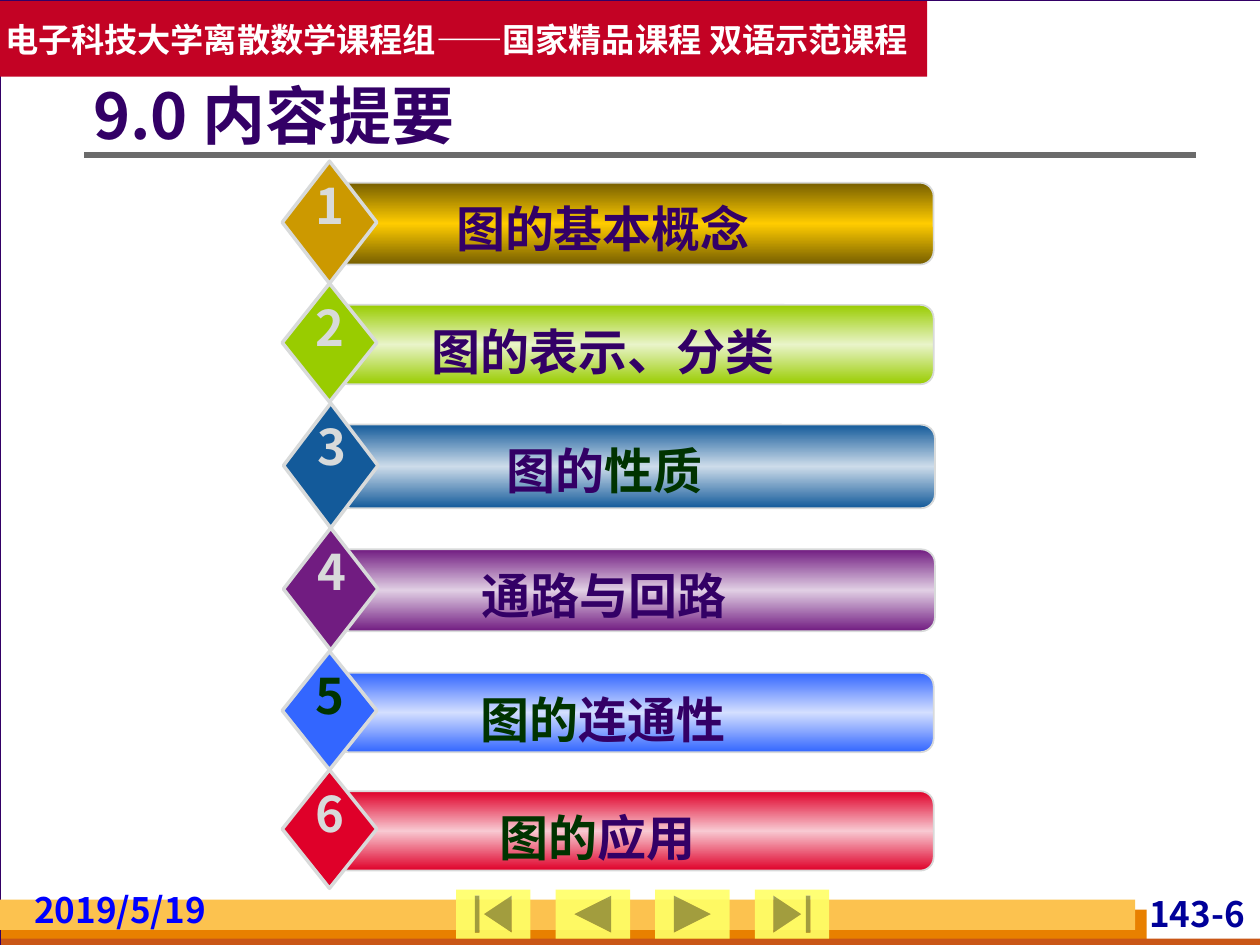
from copy import deepcopy

from lxml.etree import SubElement
from pptx import Presentation
from pptx.dml.color import RGBColor
from pptx.enum.shapes import MSO_CONNECTOR, MSO_SHAPE
from pptx.enum.text import MSO_ANCHOR, MSO_AUTO_SIZE, PP_ALIGN
from pptx.oxml.ns import qn
from pptx.util import Inches, Pt

FONT = "Noto Sans CJK SC"
HEX = {
    "white": "FFFFFF", "ink": "330066", "green": "003300", "pale": "D8DADA",
    "red": "C30224", "gray": "6B6B6B", "navy": "000099", "blue": "0000FF",
    "orange": "E88000", "rust": "C95616", "sand": "FCC24F", "yellow": "FFFF66",
}

# Diamond left, top, height; diamond, bar edge and bar middle colours;
# number colour; label runs
ROWS = [
    (2.24, 1.28, 0.97, "CC9900", "765E00", "FFCC00", "pale",
     [("图的基本概念", "ink")]),
    (2.24, 2.25, 0.94, "99CC00", "99CC00", "E9F4C9", "pale",
     [("图的表示、分类", "ink")]),
    (2.25, 3.20, 0.99, "135A9A", "135A9A", "CDDCEA", "pale",
     [("图的", "ink"), ("性质", "green")]),
    (2.25, 4.19, 0.97, "711C81", "711C81", "E1CFE4", "pale",
     [("通路与回路", "ink")]),
    (2.24, 5.17, 0.94, "3366FF", "3366FF", "D4DFFF", "green",
     [("图的", "green"), ("连通性", "ink")]),
    (2.24, 6.11, 0.94, "DF0029", "DF0029", "F8C9D2", "pale",
     [("图的", "green"), ("应用 ", "ink")]),
]

# Text frame formats
GROW = {"auto_size": MSO_AUTO_SIZE.SHAPE_TO_FIT_TEXT, "word_wrap": True}
FOOT = {**GROW, "margin_left": Inches(0.04), "margin_right": Inches(0.04),
        "margin_top": 0, "margin_bottom": 0}
HEAD = {"word_wrap": False, "vertical_anchor": MSO_ANCHOR.MIDDLE,
        "margin_left": Inches(0.04), "margin_right": Inches(0.04)}
TITLE = {"word_wrap": True, "vertical_anchor": MSO_ANCHOR.MIDDLE,
         "margin_left": 0}


def rgb(name):
    return RGBColor.from_string(HEX.get(name, name))


def apply(item, form):
    for key, value in form.items():
        setattr(item, key, value)


def write(shape, runs, size, form, align=PP_ALIGN.LEFT):
    """Fill a shape with one paragraph of coloured bold runs."""
    frame = shape.text_frame
    apply(frame, form)
    para = frame.paragraphs[0]
    para.alignment = align
    for text, color in runs:
        run = para.add_run()
        run.text = text
        apply(run.font, {"name": FONT, "size": Pt(size), "bold": True})
        run.font.color.rgb = rgb(color)
        SubElement(run.font._element, qn("a:ea"), typeface=FONT)
    return para


def add_text(shapes, box, *args):
    return write(shapes.add_textbox(*map(Inches, box)), *args)


def add_shape(shapes, kind, box, fill, line=None, width=1):
    shape = shapes.add_shape(kind, *map(Inches, box))
    shape.shadow.inherit = False
    shape.fill.solid()
    shape.fill.fore_color.rgb = rgb(fill)
    if line:
        shape.line.color.rgb = rgb(line)
        shape.line.width = Pt(width)
    else:
        shape.line.fill.background()
    return shape


def shade(shape, edge, mid):
    """Vertical gradient from edge to mid and back."""
    fill = shape.fill
    fill.gradient()
    fill.gradient_angle = 90
    stops = shape._element.spPr.find(".//" + qn("a:gsLst"))
    stops.append(deepcopy(stops[0]))
    for stop, color, place in zip(fill.gradient_stops, (edge, mid, edge),
                                  (0, 0.5, 1)):
        stop.color.rgb = rgb(color)
        stop.position = place


def add_rule(shapes):
    rule = shapes.add_connector(MSO_CONNECTOR.STRAIGHT, Inches(0.67),
                                Inches(1.23), Inches(9.49), Inches(1.23))
    rule.line.color.rgb = rgb("gray")
    rule.line.width = Pt(3)
    SubElement(rule._element.spPr, qn("a:effectLst"))


def add_nav(shapes):
    kinds = (MSO_SHAPE.ACTION_BUTTON_BEGINNING,
             MSO_SHAPE.ACTION_BUTTON_BACK_OR_PREVIOUS,
             MSO_SHAPE.ACTION_BUTTON_FORWARD_OR_NEXT,
             MSO_SHAPE.ACTION_BUTTON_END)
    for i, kind in enumerate(kinds):
        key = add_shape(shapes, kind, (3.62 + 0.79 * i, 7.06, 0.59, 0.39),
                        "yellow")
        color = key._element.spPr.find(".//" + qn("a:srgbClr"))
        SubElement(color, qn("a:alpha"), val="90000")


def add_row(shapes, num, row):
    left, top, high, gem, edge, mid, ink, label = row
    group = shapes.add_group_shape().shapes
    bar = add_shape(group, MSO_SHAPE.ROUNDED_RECTANGLE,
                    (left + 0.42, top + 0.17, 4.75, high * 0.67), edge, "pale")
    shade(bar, edge, mid)
    add_shape(group, MSO_SHAPE.DIAMOND, (left, top, 0.75, high), gem, "pale", 2)
    add_text(group, (left + 0.67, top + 0.25, 3.75, 0.57), label, 28, GROW,
             PP_ALIGN.CENTER)
    add_text(group, (left + 0.17, top + 0.06, 0.4, 0.57), [(str(num), ink)],
             28, {**GROW, "word_wrap": False}, PP_ALIGN.CENTER)


def main():
    deck = Presentation()
    deck.slide_width, deck.slide_height = Inches(10), Inches(7.5)
    slide = deck.slides.add_slide(deck.slide_layouts[6])
    shapes = slide.shapes
    rect = MSO_SHAPE.RECTANGLE

    # Backdrop and footer bands
    slide.background.fill.solid()
    slide.background.fill.fore_color.rgb = rgb("pale")
    add_shape(shapes, rect, (0, 0, 10.01, 7.5), "white", "ink", 0.75)
    add_shape(shapes, rect, (0.01, 7.22, 9.09, 0.28), "orange")
    add_shape(shapes, rect, (0.01, 7.45, 10, 0.08), "rust")
    add_shape(shapes, rect, (0, 7.14, 9.01, 0.24), "sand")

    # Footer text and buttons
    add_text(shapes, (8.7, 7.08, 1.22, 0.33), [("143-6", "navy")], 20, FOOT,
             PP_ALIGN.RIGHT)
    add_text(shapes, (0.23, 7.05, 1.65, 0.33), [("2019/5/19", "blue")], 20,
             FOOT)
    add_nav(shapes)

    # Header and title
    head = add_shape(shapes, rect, (0, 0.01, 7.36, 0.6), "red")
    write(head, [("电子科技大学离散数学课程组——国家精品课程 双语示范课程",
                  "white")], 19, HEAD)
    add_rule(shapes)
    title = add_text(shapes, (0.74, 0.56, 8.68, 0.77),
                     [("9.0 内容提要", "ink")], 36, TITLE)
    title.line_spacing = 0.9

    # Contents
    for num, row in enumerate(ROWS, 1):
        add_row(shapes, num, row)

    deck.save("out.pptx")


if __name__ == "__main__":
    main()
